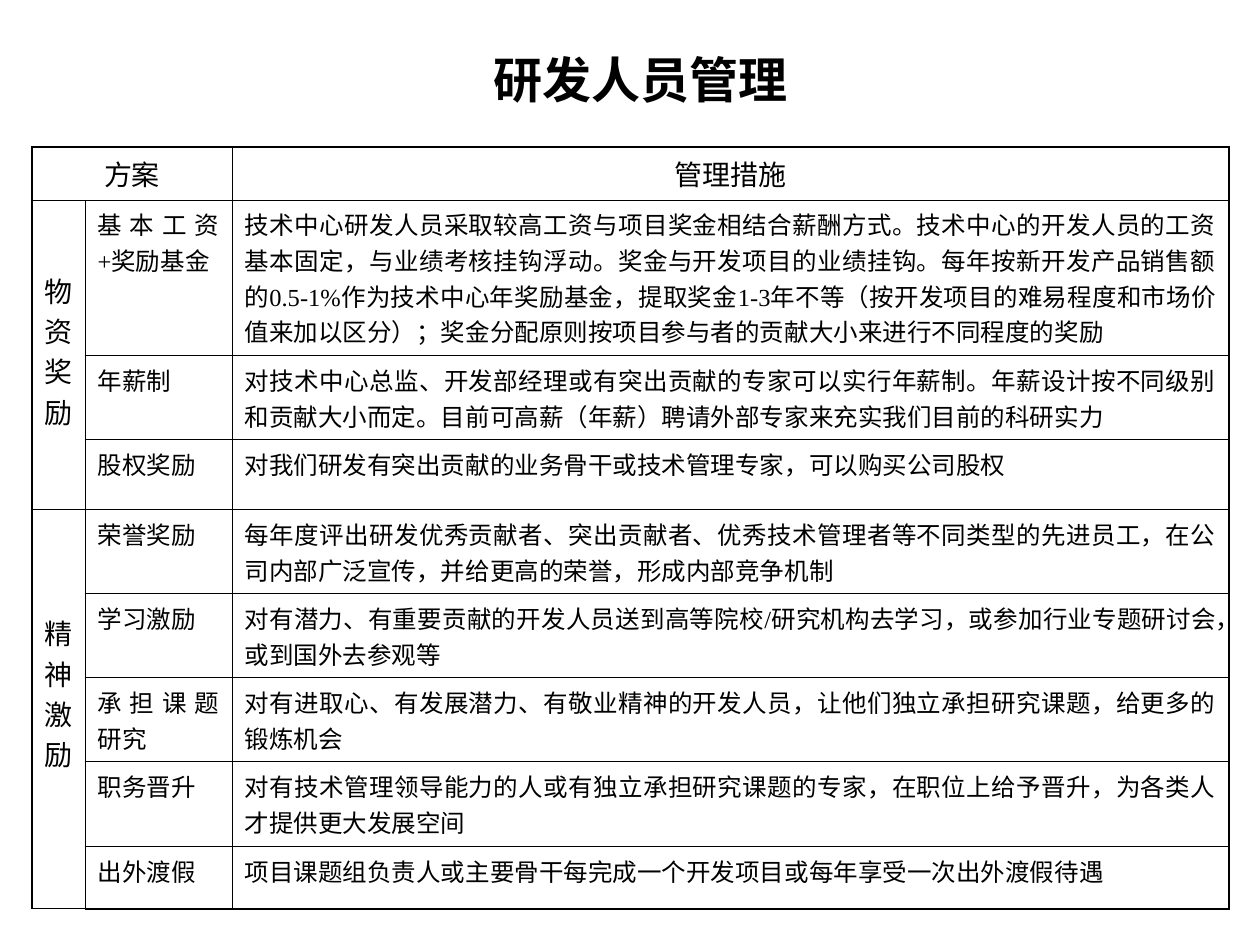
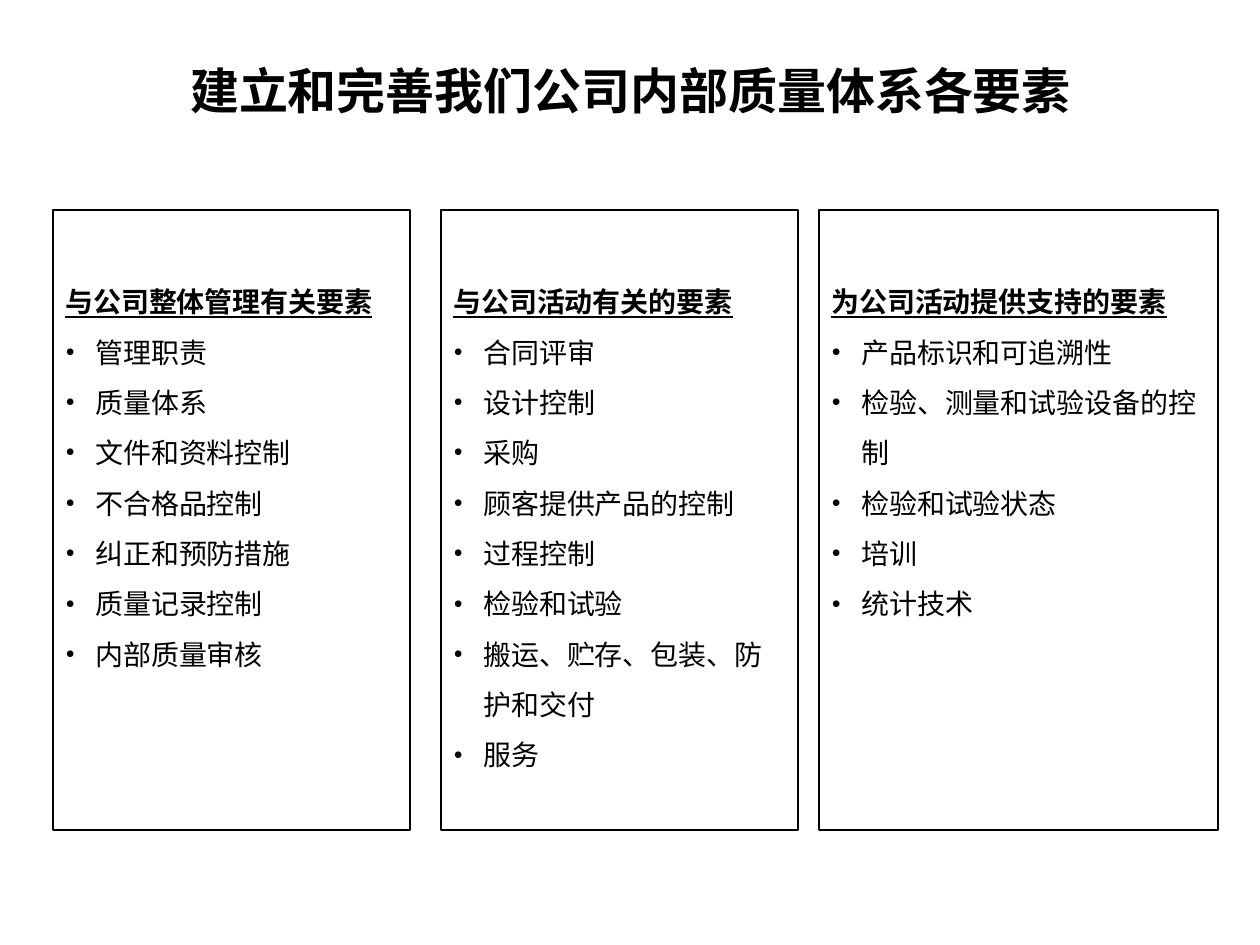
from lxml.etree import SubElement
from pptx import Presentation
from pptx.dml.color import RGBColor
from pptx.enum.shapes import MSO_SHAPE as Shape
from pptx.enum.text import MSO_ANCHOR as Anchor, PP_ALIGN as Align
from pptx.oxml.ns import qn
from pptx.util import Emu, Pt

FONT = "Times New Roman"
BLACK = "000000"
WHITE = "FFFFFF"
TITLE_SIZE, HEAD_SIZE, BODY_SIZE = 28, 16, 14
OUTER_LINE, INNER_LINE = 1.08, 0.45

HEADINGS = ("方案", "管理措施")
COLUMN_WIDTHS = (53, 147, 997)
HEADER_HEIGHT = 53
REWARD_GROUPS = [
    ("物资奖励", 70, [
        (155, "基本工资+奖励基金",
         "技术中心研发人员采取较高工资与项目奖金相结合薪酬方式。技术中心的开发人员的工资基本固定，"
         "与业绩考核挂钩浮动。奖金与开发项目的业绩挂钩。每年按新开发产品销售额的0.5-1%作为技术中心年奖励基金，"
         "提取奖金1-3年不等（按开发项目的难易程度和市场价值来加以区分）；"
         "奖金分配原则按项目参与者的贡献大小来进行不同程度的奖励"),
        (84, "年薪制",
         "对技术中心总监、开发部经理或有突出贡献的专家可以实行年薪制。年薪设计按不同级别和贡献大小而定。"
         "目前可高薪（年薪）聘请外部专家来充实我们目前的科研实力"),
        (70, "股权奖励",
         "对我们研发有突出贡献的业务骨干或技术管理专家，可以购买公司股权"),
    ]),
    ("精神激励", 103, [
        (84, "荣誉奖励",
         "每年度评出研发优秀贡献者、突出贡献者、优秀技术管理者等不同类型的先进员工，"
         "在公司内部广泛宣传，并给更高的荣誉，形成内部竞争机制"),
        (84, "学习激励",
         "对有潜力、有重要贡献的开发人员送到高等院校/研究机构去学习，"
         "或参加行业专题研讨会，或到国外去参观等"),
        (84, "承担课题研究",
         "对有进取心、有发展潜力、有敬业精神的开发人员，让他们独立承担研究课题，给更多的锻炼机会"),
        (85, "职务晋升",
         "对有技术管理领导能力的人或有独立承担研究课题的专家，在职位上给予晋升，为各类人才提供更大发展空间"),
        (62, "出外渡假",
         "项目课题组负责人或主要骨干每完成一个开发项目或每年享受一次出外渡假待遇"),
    ]),
]

ELEMENT_PANELS = [
    ((53, 210, 357, 620), "与公司整体管理有关要素",
     ["管理职责", "质量体系", "文件和资料控制", "不合格品控制",
      "纠正和预防措施", "质量记录控制", "内部质量审核"]),
    ((441, 210, 357, 620), "与公司活动有关的要素",
     ["合同评审", "设计控制", "采购", "顾客提供产品的控制", "过程控制",
      "检验和试验", "搬运、贮存、包装、防护和交付", "服务"]),
    ((819, 210, 399, 620), "为公司活动提供支持的要素",
     ["产品标识和可追溯性", "检验、测量和试验设备的控制",
      "检验和试验状态", "培训", "统计技术"]),
]


def px(length):
    return Emu(round(length * 914400 / 126))


def color(hex_text):
    return RGBColor.from_string(hex_text)


def paint(shape, hex_text):
    shape.fill.solid()
    shape.fill.fore_color.rgb = color(hex_text)


def style(para, size, align, bold=False, underline=False):
    para.alignment = align
    font = para.font
    font.name, font.size = FONT, Pt(size)
    font.bold, font.underline = bold, underline
    font.color.rgb = color(BLACK)


def add_bullet(para):
    props = para._p.get_or_add_pPr()
    props.set("marL", str(px(30)))
    props.set("indent", str(-px(30)))
    tint = SubElement(props, qn("a:buClr"))
    SubElement(tint, qn("a:srgbClr"), val=BLACK)
    SubElement(props, qn("a:buFont"), typeface=FONT)
    SubElement(props, qn("a:buChar"), char="•")


def add_page(deck, title, box):
    page = deck.slides.add_slide(deck.slide_layouts[5])
    holder = page.shapes.title
    holder.left, holder.top, holder.width, holder.height = map(px, box)
    frame = holder.text_frame
    frame.text = title
    frame.vertical_anchor = Anchor.MIDDLE
    style(frame.paragraphs[0], TITLE_SIZE, Align.CENTER, bold=True)
    return page


def set_borders(cell, outer_sides):
    props = cell._tc.get_or_add_tcPr()
    for side in "LRTB":
        width = OUTER_LINE if side in outer_sides else INNER_LINE
        line = SubElement(props, qn(f"a:ln{side}"), w=str(Pt(width)))
        fill = SubElement(line, qn("a:solidFill"))
        SubElement(fill, qn("a:srgbClr"), val=BLACK)


def fill_cell(cell, text, size, align=Align.JUSTIFY):
    cell.text = text
    style(cell.text_frame.paragraphs[0], size, align)


def frame_cells(table):
    last_row, last_column = len(table.rows) - 1, len(table.columns) - 1
    for r in range(last_row + 1):
        for c in range(last_column + 1):
            edges = {"L": c == 0, "R": c == last_column, "T": r == 0, "B": r == last_row}
            cell = table.cell(r, c)
            set_borders(cell, [side for side, is_outer in edges.items() if is_outer])
            paint(cell, WHITE)


def add_reward_table(page, left, top):
    measures = [measure for _, _, group in REWARD_GROUPS for measure in group]
    heights = [HEADER_HEIGHT] + [height for height, _, _ in measures]
    box = map(px, (left, top, sum(COLUMN_WIDTHS), sum(heights)))
    table = page.shapes.add_table(len(heights), len(COLUMN_WIDTHS), *box).table
    table.first_row = table.horz_banding = False
    for column, width in zip(table.columns, COLUMN_WIDTHS):
        column.width = px(width)
    for row, height in zip(table.rows, heights):
        row.height = px(height)
    frame_cells(table)

    table.cell(0, 0).merge(table.cell(0, 1))
    for c, heading in zip((0, 2), HEADINGS):
        fill_cell(table.cell(0, c), heading, HEAD_SIZE, Align.CENTER)
    for r, (_, plan, measure) in enumerate(measures, 1):
        fill_cell(table.cell(r, 1), plan, BODY_SIZE)
        fill_cell(table.cell(r, 2), measure, BODY_SIZE)
    first = 1
    for name, inset, group in REWARD_GROUPS:
        label = table.cell(first, 0)
        label.merge(table.cell(first + len(group) - 1, 0))
        label.margin_top = px(inset)
        fill_cell(label, name, HEAD_SIZE)
        first += len(group)


def add_element_panel(page, box, heading, elements):
    panel = page.shapes.add_shape(Shape.RECTANGLE, *map(px, box))
    panel.shadow.inherit = False
    paint(panel, WHITE)
    panel.line.color.rgb = color(BLACK)
    panel.line.width = Pt(0.75)
    frame = panel.text_frame
    frame.word_wrap = True
    frame.vertical_anchor = Anchor.TOP
    frame.margin_top = px(58)
    for index, text in enumerate([heading, *elements]):
        is_heading = index == 0
        para = frame.paragraphs[0] if is_heading else frame.add_paragraph()
        para.text = text
        para.line_spacing = 1.5
        if not is_heading:
            add_bullet(para)
        style(para, HEAD_SIZE, Align.LEFT, bold=is_heading, underline=is_heading)


def main():
    deck = Presentation()
    deck.slide_width, deck.slide_height = px(1260), px(945)

    staff_page = add_page(deck, "研发人员管理", (105, 42, 1071, 73))
    add_reward_table(staff_page, 32, 147)

    quality_page = add_page(deck, "建立和完善我们公司内部质量体系各要素", (95, 42, 1071, 95))
    for panel in ELEMENT_PANELS:
        add_element_panel(quality_page, *panel)

    deck.save("out.pptx")


if __name__ == "__main__":
    main()
